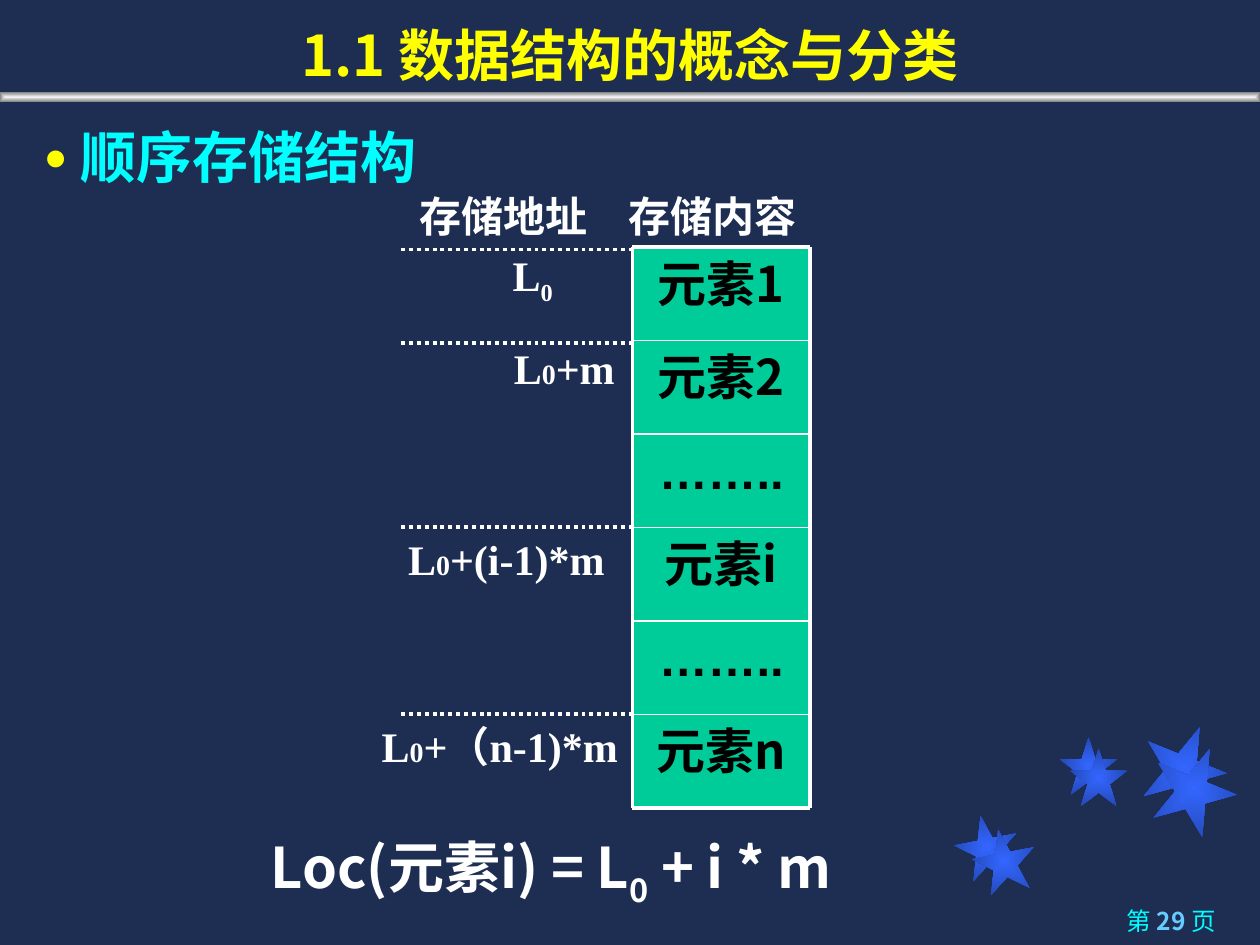
"""Build a slide that explains the sequential storage structure."""
from dataclasses import dataclass
from typing import NamedTuple

from lxml import etree
from pptx import Presentation
from pptx.dml.color import RGBColor
from pptx.enum.dml import MSO_LINE
from pptx.enum.shapes import MSO_CONNECTOR, MSO_SHAPE
from pptx.enum.text import MSO_ANCHOR, MSO_AUTO_SIZE, PP_ALIGN
from pptx.oxml.ns import qn
from pptx.util import Inches, Pt

STAR, RECTANGLE = MSO_SHAPE.STAR_5_POINT, MSO_SHAPE.RECTANGLE
STRAIGHT = MSO_CONNECTOR.STRAIGHT
DOTTED = MSO_LINE.ROUND_DOT
TOP, BOTTOM = MSO_ANCHOR.TOP, MSO_ANCHOR.BOTTOM
LEFT, CENTER, RIGHT = PP_ALIGN.LEFT, PP_ALIGN.CENTER, PP_ALIGN.RIGHT
NO_AUTOFIT = MSO_AUTO_SIZE.NONE


@dataclass(frozen=True)
class Theme:
    """Colours, fonts and type sizes of the slide."""

    background: str = "1E2E53"
    title: str = "FFFF00"
    topic: str = "00FFFF"
    page: str = "66CCFF"
    light: str = "FFFFFF"
    dark: str = "000000"
    cell: str = "00CC99"
    star: tuple = ("3366FF", "2449B6")
    rule: tuple = ("F2F2F2", "808080")
    sans: str = "Noto Sans CJK SC"
    arial: str = "Arial"
    serif: str = "Times New Roman"
    heading_size: int = 32
    cell_size: int = 28
    label_size: int = 24
    index_size: int = 16
    page_size: int = 14


class Box(NamedTuple):
    """Left, top, width and height in inches."""

    left: float
    top: float
    width: float
    height: float


class Star(NamedTuple):
    """One decorative star."""

    left: float
    top: float
    size: float
    rotation: float


class Address(NamedTuple):
    """Address label beside a row, with the index of L either lowered or small."""

    row: int
    left: float
    width: float
    rest: str
    label_shift: float = 0
    dots_shift: float = 0


THEME = Theme()
COLUMN_LEFT, COLUMN_RIGHT, COLUMN_TOP, ROW_HEIGHT = 5.02, 6.43, 1.96, 0.742
DOTS_LEFT = 3.18
ELEMENTS = ["元素1", "元素2", "……..", "元素i", "……..", "元素n"]
ADDRESSES = [
    Address(0, 3.97, 0.83, "", -0.03, 0.02),
    Address(1, 3.98, 1.17, "+m", -0.03, 0.02),
    Address(3, 3.14, 2.12, "+(i-1)*m"),
    Address(5, 2.93, 2.08, "+（n-1)*m"),
]
HEADERS = {"存储地址": Box(3.23, 1.46, 1.71, 0.5), "存储内容": Box(4.89, 1.46, 1.58, 0.5)}
STARS = [
    Star(7.58, 6.47, 0.5, 349), Star(8.41, 5.85, 0.46, 0), Star(9.06, 5.75, 0.67, 22),
    Star(7.72, 6.58, 0.5, 349), Star(8.49, 5.94, 0.46, 0), Star(9.14, 5.92, 0.67, 22),
]


def row_top(row: int) -> float:
    """Return the top edge of a storage row."""
    return COLUMN_TOP + row * ROW_HEIGHT


def write(paragraph, text: str, *, size: int, color: str, font: str = THEME.sans,
          bold: bool = True, baseline: int = 0) -> None:
    """Append a formatted run to a paragraph."""
    run = paragraph.add_run()
    run.text = text
    run.font.size = Pt(size)
    run.font.bold = bold
    run.font.color.rgb = RGBColor.from_string(color)
    run.font.name = font
    properties = run._r.get_or_add_rPr()
    etree.SubElement(properties, qn("a:ea"), typeface=THEME.sans)
    if baseline:
        properties.set("baseline", str(baseline * 1000))


def prepare(shape, align=LEFT, anchor=TOP):
    """Set the text frame of a shape and return its first paragraph."""
    frame = shape.text_frame
    frame.word_wrap = True
    frame.auto_size = NO_AUTOFIT
    frame.vertical_anchor = anchor
    paragraph = frame.paragraphs[0]
    paragraph.alignment = align
    return paragraph


def add_text(slide, box: Box, align=LEFT):
    """Add a text box and return its first paragraph."""
    return prepare(slide.shapes.add_textbox(*map(Inches, box)), align)


def add_figure(slide, kind, box: Box):
    """Add a preset shape without line or shadow."""
    figure = slide.shapes.add_shape(kind, *map(Inches, box))
    figure.shadow.inherit = False
    figure.line.fill.background()
    return figure


def fill_from_center(figure, colors: tuple) -> None:
    """Fill a shape with a gradient that runs from its centre to its edge."""
    figure.fill.gradient()
    for stop, color in zip(figure.fill.gradient_stops, colors):
        stop.color.rgb = RGBColor.from_string(color)
    gradient = figure._element.spPr.find(qn("a:gradFill"))
    gradient.remove(gradient.find(qn("a:lin")))
    center = etree.SubElement(gradient, qn("a:path"), path="shape")
    etree.SubElement(center, qn("a:fillToRect"), l="50000", t="50000", r="50000", b="50000")


def add_line(slide, x1: float, y1: float, x2: float, y2: float,
             width: float = 2.25, dash=None) -> None:
    """Add a straight white line."""
    line = slide.shapes.add_connector(STRAIGHT, *map(Inches, (x1, y1, x2, y2)))
    line.line.color.rgb = RGBColor.from_string(THEME.light)
    line.line.width = Pt(width)
    if dash:
        line.line.dash_style = dash
    etree.SubElement(line._element.spPr, qn("a:effectLst"))


def add_decoration(slide) -> None:
    """Draw the stars, the rule below the title and the page number."""
    for star in STARS:
        figure = add_figure(slide, STAR, Box(star.left, star.top, star.size, star.size))
        figure.rotation = star.rotation
        fill_from_center(figure, THEME.star)
    fill_from_center(add_figure(slide, RECTANGLE, Box(0, 0.73, 10, 0.08)), THEME.rule)
    page = add_text(slide, Box(7.12, 7.14, 2.63, 0.36), RIGHT)
    write(page, "第 ", size=THEME.page_size, color=THEME.topic, bold=False)
    write(page, "29 ", size=THEME.page_size, color=THEME.page)
    write(page, "页", size=THEME.page_size, color=THEME.topic, bold=False)


def add_headings(slide) -> None:
    """Write the title and the bulleted topic."""
    title = slide.shapes.title
    title.left, title.top, title.width, title.height = map(Inches, (0, 0, 10, 0.75))
    write(prepare(title, CENTER, BOTTOM), "1.1 数据结构的概念与分类",
          size=THEME.heading_size, color=THEME.title)
    topic = add_text(slide, Box(0.25, 0.9, 9.52, 0.69))
    properties = topic._p.get_or_add_pPr()
    properties.set("marL", str(Inches(0.29)))
    properties.set("indent", str(-Inches(0.29)))
    bullet_color = etree.SubElement(properties, qn("a:buClr"))
    etree.SubElement(bullet_color, qn("a:srgbClr"), val=THEME.title)
    etree.SubElement(properties, qn("a:buSzPct"), val="70000")
    etree.SubElement(properties, qn("a:buFont"), typeface=THEME.arial)
    etree.SubElement(properties, qn("a:buChar"), char="●")
    topic.line_spacing = 1.05
    write(topic, "顺序存储结构", size=THEME.heading_size, color=THEME.topic, font=THEME.arial)


def add_storage(slide) -> None:
    """Draw the storage column with its grid, addresses and headers."""
    for row, element in enumerate(ELEMENTS):
        cell = add_figure(slide, RECTANGLE, Box(
            COLUMN_LEFT, row_top(row), COLUMN_RIGHT - COLUMN_LEFT, ROW_HEIGHT))
        cell.fill.solid()
        cell.fill.fore_color.rgb = RGBColor.from_string(THEME.cell)
        write(prepare(cell, CENTER), element, size=THEME.cell_size, color=THEME.dark,
              font=THEME.sans if element.startswith("元素") else THEME.arial)
    last = len(ELEMENTS)
    for row in range(last + 1):
        add_line(slide, COLUMN_LEFT, row_top(row), COLUMN_RIGHT, row_top(row),
                 2.25 if row in (0, last) else 1)
    for x in (COLUMN_LEFT, COLUMN_RIGHT):
        add_line(slide, x, row_top(0), x, row_top(last))
    label = {"color": THEME.light, "font": THEME.serif}
    for address in ADDRESSES:
        top = row_top(address.row)
        text = add_text(slide, Box(address.left, top + address.label_shift, address.width, 0.5))
        write(text, "L", size=THEME.label_size, **label)
        if address.rest:
            write(text, "0", size=THEME.index_size, **label)
            write(text, address.rest, size=THEME.label_size, **label)
        else:
            write(text, "0", size=THEME.label_size, baseline=-25, **label)
        dots = top + address.dots_shift
        add_line(slide, COLUMN_LEFT, dots, DOTS_LEFT, dots, dash=DOTTED)
    for header, box in HEADERS.items():
        write(add_text(slide, box), header, size=THEME.label_size, **label)


def add_formula(slide) -> None:
    """Write the location formula."""
    formula = add_text(slide, Box(2.05, 6.56, 6.74, 0.63))
    for text, baseline in (("Loc(元素i) = L", 0), ("0", -25), (" + i * m", 0)):
        write(formula, text, size=THEME.heading_size, color=THEME.light, baseline=baseline)


def main() -> None:
    """Build and save the presentation."""
    deck = Presentation()
    deck.slide_width, deck.slide_height = Inches(10), Inches(7.5)
    slide = deck.slides.add_slide(deck.slide_layouts[5])
    slide.background.fill.solid()
    slide.background.fill.fore_color.rgb = RGBColor.from_string(THEME.background)
    add_decoration(slide)
    add_headings(slide)
    add_storage(slide)
    add_formula(slide)
    deck.save("out.pptx")


if __name__ == "__main__":
    main()
